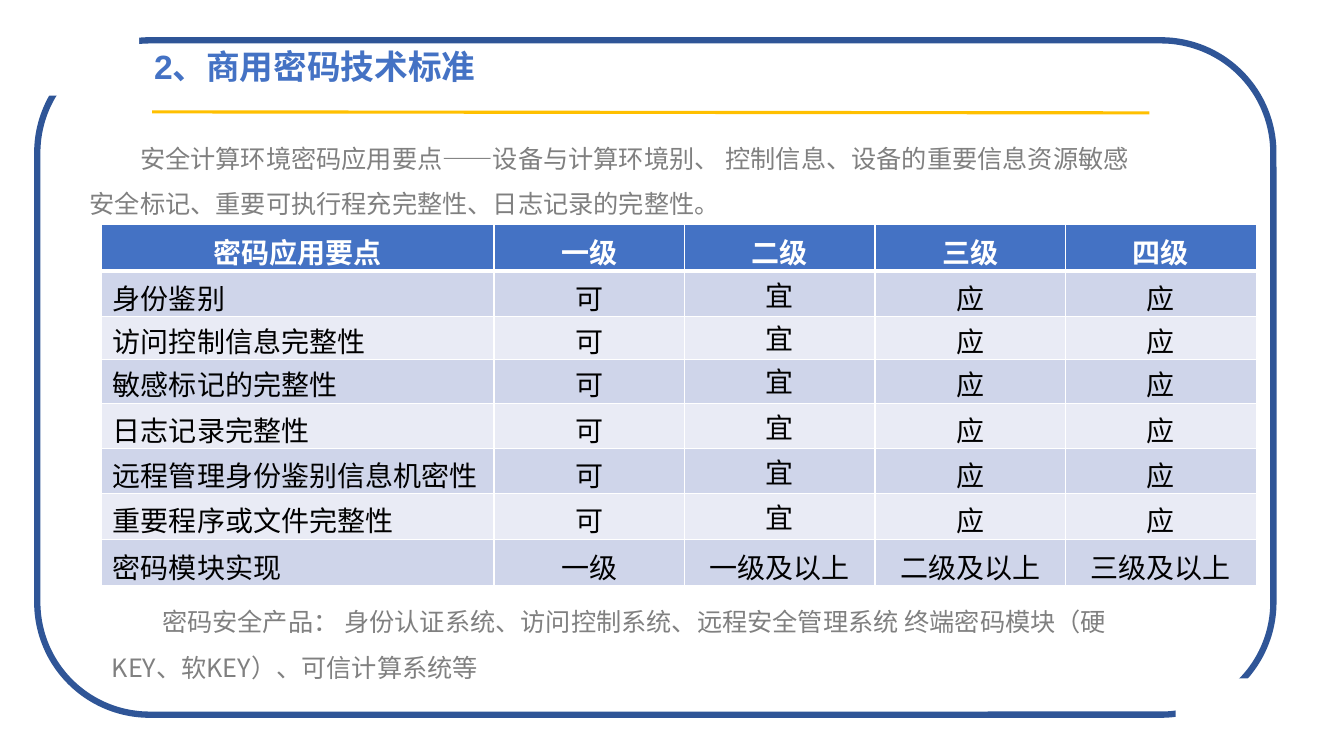
from pptx import Presentation
from pptx.dml.color import RGBColor
from pptx.enum import shapes, text
from pptx.oxml.ns import qn
from pptx.util import Inches, Pt
from lxml import etree

# Content
TITLE = "2、商用密码技术标准"
INTRO = ("安全计算环境密码应用要点——设备与计算环境别、 控制信息、设备的重要信息资源敏感"
         "安全标记、重要可执行程充完整性、日志记录的完整性。")
PRODUCTS = ("密码安全产品： 身份认证系统、访问控制系统、远程安全管理系统 "
            "终端密码模块（硬KEY、软KEY）、可信计算系统等")
HEADER = ["密码应用要点", "一级", "二级", "三级", "四级"]
POINTS = ["身份鉴别", "访问控制信息完整性", "敏感标记的完整性", "日志记录完整性",
          "远程管理身份鉴别信息机密性", "重要程序或文件完整性"]
LEVELS = ["可", "宜", "应", "应"]
MODULES = ["密码模块实现", "一级", "一级及以上", "二级及以上", "三级及以上"]
ROWS = [HEADER] + [[point] + LEVELS for point in POINTS] + [MODULES]

COL_WIDTHS = [3.89] + [1.89] * 4
ROW_HEIGHTS = [0.46, 0.45, 0.43, 0.43, 0.45, 0.45, 0.45, 0.46]
SANS = "Noto Sans CJK SC"
WHITE, BLUE, GRAY = "FFFFFF", "4472C4", "808080"
BANDS = ["E9EBF5", "CFD5EA"]


def color(target, value):
    target.rgb = RGBColor.from_string(value)


def write(p, words, size=20, fill="000000", font=SANS, bold=False,
          align=text.PP_ALIGN.LEFT, spacing=None):
    r = p.add_run()
    r.text = words
    r.font.size, r.font.bold, r.font.name = Pt(size), bold, font
    color(r.font.color, fill)
    etree.SubElement(r.font._element, qn("a:ea"), typeface=SANS)
    p.alignment = align
    if spacing:
        p.line_spacing = spacing


def box(x, y, w, h, words, indent=0, right=0.1, **fmt):
    tf = s.shapes.add_textbox(Inches(x), Inches(y), Inches(w), Inches(h)).text_frame
    tf.word_wrap = True
    tf.margin_right = Inches(right)
    p = tf.paragraphs[0]
    write(p, words, **fmt)
    if indent:
        p._p.get_or_add_pPr().set("indent", str(Inches(indent)))


def block(kind, x, y, w, h, fill=None, line=None):
    sp = s.shapes.add_shape(kind, Inches(x), Inches(y), Inches(w), Inches(h))
    sp.shadow.inherit = False
    for part, value in ((sp.fill, fill), (sp.line.fill, line)):
        if value:
            part.solid()
            color(part.fore_color, value)
        else:
            part.background()
    return sp


def border(cell, side, width):
    ln = etree.SubElement(cell._tc.get_or_add_tcPr(), qn("a:ln" + side), w=str(Pt(width)))
    solid = etree.SubElement(ln, qn("a:solidFill"))
    etree.SubElement(solid, qn("a:srgbClr"), val=WHITE)


prs = Presentation()
prs.slide_width, prs.slide_height = Inches(13.33), Inches(7.5)
s = prs.slides.add_slide(prs.slide_layouts[6])

# Rounded frame, opened at two corners
frame = block(shapes.MSO_SHAPE.ROUNDED_RECTANGLE, 0.37, 0.4, 12.26, 6.69, line="2F5597")
frame.line.width = Pt(4.5)
for x, y in ((0.37, 0.18), (11.66, 6.73)):
    block(shapes.MSO_SHAPE.RECTANGLE, x, y, 1.01, 0.77, fill=WHITE)

# Title, rule and paragraphs
body = dict(size=18, fill=GRAY, indent=0.5, spacing=1.5)
box(0.79, 1.22, 10.62, 1.01, INTRO, **body)
rule = s.shapes.add_connector(shapes.MSO_CONNECTOR.STRAIGHT,
                              Inches(1.51), Inches(1.11), Inches(11.4), Inches(1.12))
rule.line.width = Pt(2.25)
color(rule.line.color, "FFC000")
etree.SubElement(rule._element.spPr, qn("a:effectLst"))
box(1.43, 0.41, 10.06, 0.5, TITLE, size=24, fill=BLUE, font="Arial", bold=True)
box(1.01, 5.82, 10.62, 1.01, PRODUCTS, right=0.3, **body)

# Requirements by level
table = s.shapes.add_table(len(ROWS), len(HEADER), Inches(1.01), Inches(2.23),
                           Inches(sum(COL_WIDTHS)), Inches(sum(ROW_HEIGHTS))).table
for column, width in zip(table.columns, COL_WIDTHS):
    column.width = Inches(width)
for i, (row, height) in enumerate(zip(ROWS, ROW_HEIGHTS)):
    table.rows[i].height = Inches(height)
    for j, words in enumerate(row):
        cell = table.cell(i, j)
        head, label = i == 0, i > 0 and j == 0
        cell.margin_top = cell.margin_right = 0
        cell.margin_left = Inches(0.11 if label else 0)
        cell.margin_bottom = Inches(0.03 if words == "宜" else 0)
        cell.vertical_anchor = text.MSO_ANCHOR.BOTTOM
        for side in "LRTB":
            thick = (i, side) in ((0, "B"), (1, "T"))
            border(cell, side, 3 if thick else 1)
        cell.fill.solid()
        color(cell.fill.fore_color, BLUE if head else BANDS[i % 2])
        write(cell.text_frame.paragraphs[0], words, bold=head, spacing=0.9,
              fill=WHITE if head else "000000",
              align=text.PP_ALIGN.LEFT if label else text.PP_ALIGN.CENTER)

prs.save("out.pptx")
